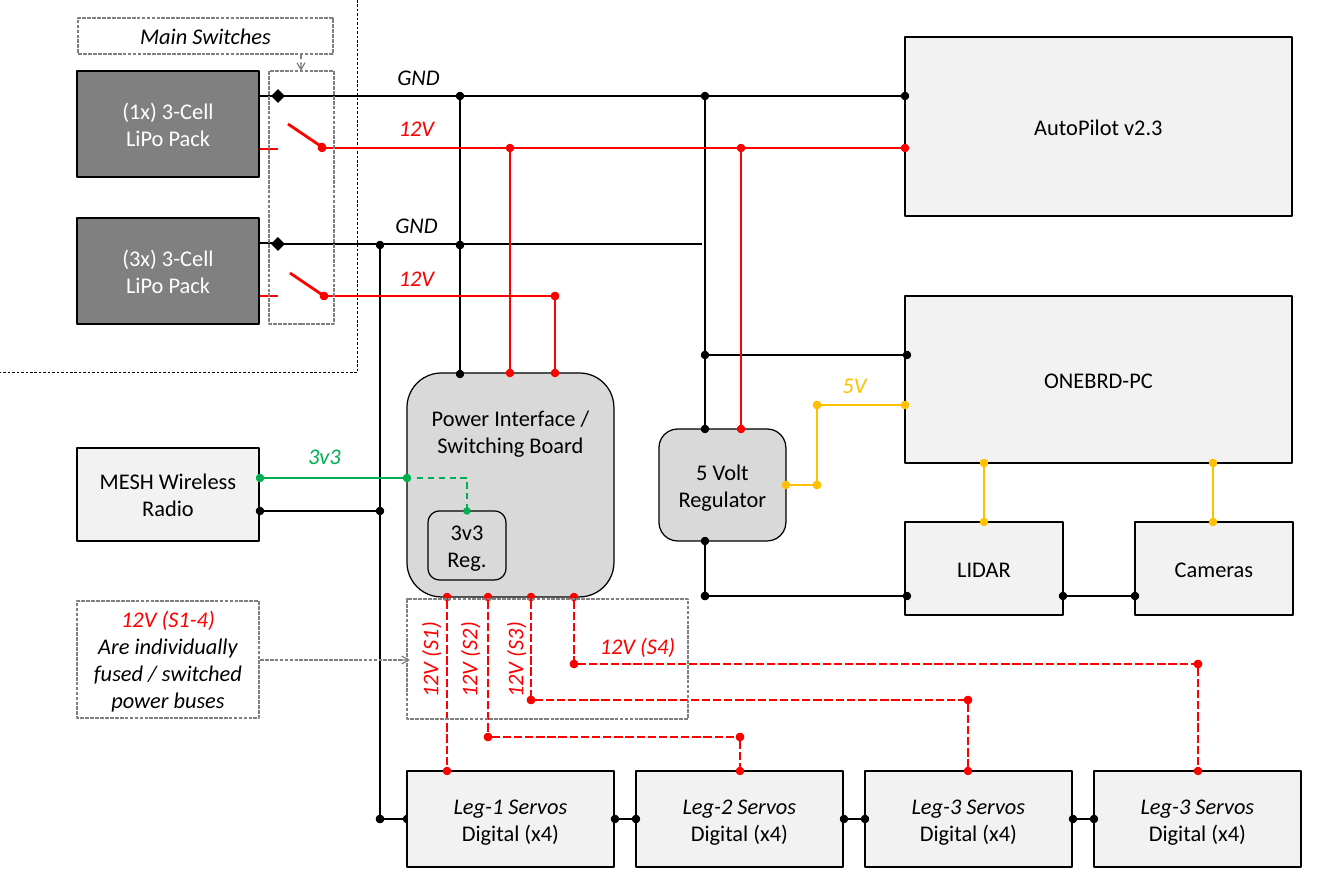
from dataclasses import dataclass
from itertools import pairwise

from lxml.etree import SubElement
from pptx import Presentation
from pptx.dml.color import RGBColor
from pptx.enum.dml import MSO_LINE
from pptx.enum.shapes import MSO_CONNECTOR, MSO_SHAPE
from pptx.enum.text import MSO_ANCHOR, PP_ALIGN
from pptx.oxml.ns import qn
from pptx.util import Emu, Pt


@dataclass(frozen=True)
class Theme:
    font: str = "Calibri"
    text_size: float = 18
    outline: float = 1
    wire: float = 2.25
    thin_wire: float = 1.25
    hairline: float = 0.5
    black: str = "000000"
    white: str = "FFFFFF"
    red: str = "FF0000"
    green: str = "00B050"
    amber: str = "FFC000"
    grey: str = "808080"
    device: str = "F2F2F2"
    board: str = "D9D9D9"


THEME = Theme()
EMU_PER_PIXEL = 914400 / 89.6


@dataclass(frozen=True)
class Line:
    text: str
    color: str = THEME.black
    italic: bool = False


def px(value):
    return Emu(round(value * EMU_PER_PIXEL))


def rgb(color):
    return RGBColor.from_string(color)


def write_lines(shape, lines, anchor):
    frame = shape.text_frame
    frame.word_wrap = True
    frame.vertical_anchor = anchor
    frame.text = "\n".join(line.text for line in lines)
    for paragraph, line in zip(frame.paragraphs, lines):
        paragraph.alignment = PP_ALIGN.CENTER
        for run in paragraph.runs:
            run.font.name = THEME.font
            run.font.size = Pt(THEME.text_size)
            run.font.italic = line.italic
            run.font.color.rgb = rgb(line.color)


def add_box(slide, bounds, lines, fill=THEME.device, rounded=False, anchor=MSO_ANCHOR.MIDDLE):
    kind = MSO_SHAPE.ROUNDED_RECTANGLE if rounded else MSO_SHAPE.RECTANGLE
    shape = slide.shapes.add_shape(kind, *map(px, bounds))
    shape.shadow.inherit = False
    shape.fill.solid()
    shape.fill.fore_color.rgb = rgb(fill)
    shape.line.color.rgb = rgb(THEME.black)
    shape.line.width = Pt(THEME.outline)
    write_lines(shape, lines, anchor)
    return shape


def add_callout(slide, bounds, lines=()):
    shape = slide.shapes.add_shape(MSO_SHAPE.RECTANGLE, *map(px, bounds))
    shape.shadow.inherit = False
    shape.fill.background()
    shape.line.color.rgb = rgb(THEME.grey)
    shape.line.width = Pt(THEME.outline)
    shape.line.dash_style = MSO_LINE.SQUARE_DOT
    if lines:
        write_lines(shape, lines, MSO_ANCHOR.TOP)


def add_label(slide, left, top, text, color, width=69, rotation=0):
    label = slide.shapes.add_textbox(*map(px, (left, top, width, 36)))
    label.rotation = rotation
    write_lines(label, [Line(text, color, True)], MSO_ANCHOR.TOP)


def add_link(slide, start, end, color, width=THEME.wire, dash=None,
             head="oval", tail="oval", kind=MSO_CONNECTOR.STRAIGHT):
    connector = slide.shapes.add_connector(kind, *map(px, (*start, *end)))
    connector.line.color.rgb = rgb(color)
    connector.line.width = Pt(width)
    if dash:
        connector.line.dash_style = dash
    properties = connector._element.spPr
    outline = properties.find(qn("a:ln"))
    for tag, ending in (("a:headEnd", head), ("a:tailEnd", tail)):
        if ending:
            size = "lg" if ending == "diamond" else "med"
            SubElement(outline, qn(tag), type=ending, w=size, len=size)
    SubElement(properties, qn("a:effectLst"))
    return connector


def add_wire(slide, points, color, **style):
    for start, end in pairwise(points):
        add_link(slide, start, end, color, **style)


def add_battery(slide, top, name):
    add_box(slide, (77, top, 182, 106), [Line(name, THEME.white), Line("LiPo Pack", THEME.white)], THEME.grey)
    for offset, color in ((25, THEME.black), (78, THEME.red)):
        add_link(slide, (260, top + offset), (278, top + offset), color, head=None, tail=None)


def add_devices(slide):
    add_battery(slide, 71, "(1x) 3-Cell")
    add_battery(slide, 218, "(3x) 3-Cell")
    for bounds, name in (
        ((905, 37, 387, 179), "AutoPilot v2.3"),
        ((905, 296, 387, 167), "ONEBRD-PC"),
        ((905, 522, 158, 93), "LIDAR"),
        ((1135, 522, 158, 93), "Cameras"),
        ((77, 448, 182, 93), "MESH Wireless Radio"),
    ):
        add_box(slide, bounds, [Line(name)])
    add_box(slide, (659, 429, 127, 112), [Line("5 Volt Regulator")], THEME.board, True)
    board = add_box(slide, (407, 373, 207, 224), [Line("Power Interface / Switching Board")],
                    THEME.board, True, MSO_ANCHOR.TOP)
    board.text_frame.margin_top = px(21)
    add_box(slide, (428, 511, 78, 69), [Line("3v3"), Line("Reg.")], THEME.board, True)


def add_power_wires(slide):
    add_link(slide, (278, 96), (905, 96), THEME.black, head="diamond")
    add_link(slide, (278, 244), (702, 244), THEME.black, head="diamond", tail=None)
    for points, color in (
        ([(460, 96), (460, 245), (460, 374)], THEME.black),
        ([(705, 96), (705, 429)], THEME.black),
        ([(705, 355), (907, 355)], THEME.black),
        ([(705, 541), (705, 596), (907, 596)], THEME.black),
        ([(1063, 596), (1135, 596)], THEME.black),
        ([(260, 511), (380, 511)], THEME.black),
        ([(380, 245), (380, 819), (407, 819)], THEME.black),
        ([(322, 148), (905, 148)], THEME.red),
        ([(510, 148), (510, 373)], THEME.red),
        ([(741, 148), (741, 429)], THEME.red),
        ([(324, 296), (555, 296), (555, 373)], THEME.red),
        ([(786, 485), (817, 485), (817, 405), (905, 405)], THEME.amber),
        ([(984, 463), (984, 522)], THEME.amber),
        ([(1213, 463), (1213, 522)], THEME.amber),
        ([(260, 478), (407, 478)], THEME.green),
    ):
        add_wire(slide, points, color)
    for left, top in ((322, 147), (324, 296)):
        add_link(slide, (left, top), (left - 34, top - 23), THEME.red, tail=None)
    elbow = add_link(slide, (417, 478), (467, 511), THEME.green, THEME.thin_wire,
                     MSO_LINE.DASH, None, "oval", MSO_CONNECTOR.ELBOW)
    elbow._element.spPr.find(qn("a:prstGeom")).set("prst", "bentConnector2")


def add_legs(slide):
    left, top, width, pitch = 407, 771, 207, 229
    for index, number in enumerate((1, 2, 3, 3)):
        x = left + index * pitch
        add_box(slide, (x, top, width, 96), [Line(f"Leg-{number} Servos", italic=True), Line("Digital (x4)")])
        if index:
            add_wire(slide, [(x - pitch + width + 1, 819), (x, 819)], THEME.black)
    add_wire(slide, [(447, 597), (447, top)], THEME.red, dash=MSO_LINE.SQUARE_DOT)
    for start, level, end in ((488, 737, 740), (531, 700, 968), (574, 664, 1198)):
        points = [(start, 597), (start, level), (end, level), (end, top)]
        add_wire(slide, points, THEME.red, dash=MSO_LINE.SQUARE_DOT)


def add_annotations(slide):
    add_wire(slide, [(357, 0), (357, 372), (0, 372)], THEME.black, width=THEME.hairline,
             dash=MSO_LINE.DASH, head=None, tail=None)
    add_callout(slide, (78, 18, 255, 36), [Line("Main Switches", italic=True)])
    add_callout(slide, (269, 71, 65, 253))
    add_callout(slide, (407, 599, 281, 120))
    add_callout(slide, (77, 601, 182, 117), [
        Line("12V (S1-4)", THEME.red, True),
        Line("Are individually fused / switched power buses", italic=True),
    ])
    for start, end, dash in (((301, 54), (301, 71), MSO_LINE.DASH),
                             ((260, 660), (410, 660), MSO_LINE.SQUARE_DOT)):
        add_link(slide, start, end, THEME.grey, THEME.outline, dash, None, "arrow")
    for left, top, text, color in (
        (384, 59, "GND", THEME.black),
        (382, 110, "12V", THEME.red),
        (382, 207, "GND", THEME.black),
        (382, 260, "12V", THEME.red),
        (820, 367, "5V", THEME.amber),
        (290, 438, "3v3", THEME.green),
    ):
        add_label(slide, left, top, text, color)
    for number, left in enumerate((365, 404, 450), start=1):
        add_label(slide, left, 642, f"12V (S{number})", THEME.red, 129, 270)
    add_label(slide, 573, 628, "12V (S4)", THEME.red, 129)


def main():
    presentation = Presentation()
    presentation.slide_width = px(1344)
    presentation.slide_height = px(896)
    slide = presentation.slides.add_slide(presentation.slide_layouts[6])
    add_devices(slide)
    add_power_wires(slide)
    add_legs(slide)
    add_annotations(slide)
    presentation.save("out.pptx")


main()
